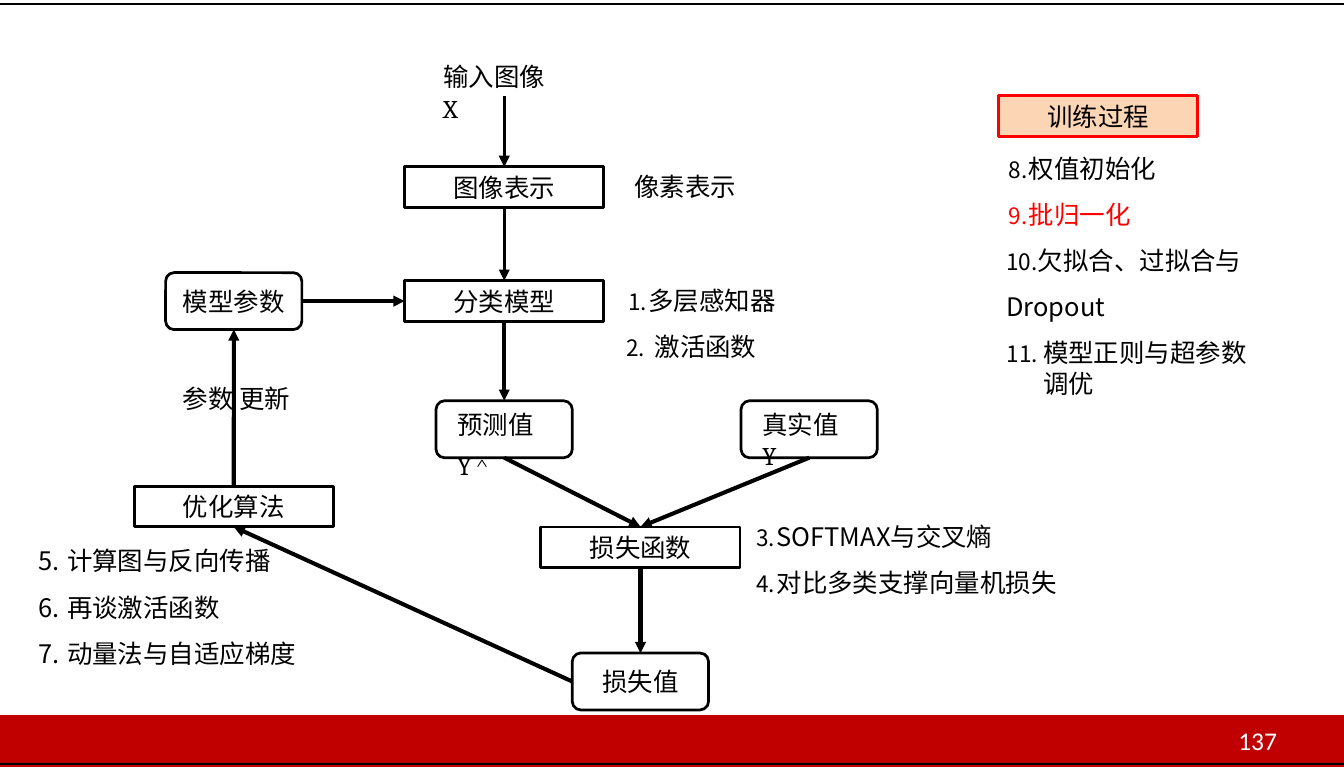
"""Build a one-slide flow chart of how an image classifier is trained."""
from lxml import etree
from pptx import Presentation, util as u
from pptx.dml import color
from pptx.enum import shapes, text
from pptx.oxml import ns

COLORS = {"ink": "000000", "red": "FF0000", "bar": "C00000", "peach": "FCD5B5", "white": "FFFFFF"}
CJK, SERIF, SANS = "Noto Sans CJK SC", "Cambria", "Calibri"
RECT, ROUND = shapes.MSO_SHAPE.RECTANGLE, shapes.MSO_SHAPE.ROUNDED_RECTANGLE
NODE_SIZES = {RECT: (0.98, 0.2), ROUND: (0.67, 0.28)}
TOP, LEFT, BOTTOM, RIGHT = range(4)
LINE = 10.9
WIDTH, HEIGHT = 6.61, 3.78


def rgb(name):
    return color.RGBColor.from_string(COLORS[name])


def add_xml(parent, tag, **attributes):
    return etree.SubElement(parent, ns.qn(tag), **attributes)


def write(frame, paragraphs, anchor=text.MSO_ANCHOR.TOP, wrap=True, **shared):
    """Fill a frame with paragraphs, each a (runs, format) pair; a run is (text, font format)."""
    frame.word_wrap = wrap
    frame.vertical_anchor = anchor
    frame.margin_left = frame.margin_top = frame.margin_right = frame.margin_bottom = 0
    for index, (runs, own) in enumerate(paragraphs):
        style = {**shared, **own}
        paragraph = frame.paragraphs[0] if index == 0 else frame.add_paragraph()
        paragraph.alignment = style.get("align", text.PP_ALIGN.LEFT)
        paragraph.line_spacing = u.Pt(style.get("line", LINE))
        paragraph.space_before = u.Pt(style.get("before", 0) if index else 0)
        if "start" in style:
            number(paragraph, style)
        for words, font in runs:
            add_run(paragraph, words, **{"ink": style.get("ink", "ink"), **font})


def number(paragraph, style):
    """Turn a paragraph into an automatically numbered item with a hanging indent."""
    margin, hang = style["indent"]
    properties = paragraph._p.get_or_add_pPr()
    properties.set("marL", str(u.Inches(margin)))
    properties.set("indent", str(-u.Inches(hang)))
    add_xml(properties, "a:buSzPct", val=str(style.get("scale", 89) * 1000))
    add_xml(properties, "a:buFont", typeface=CJK)
    add_xml(properties, "a:buAutoNum", type="arabicPeriod", startAt=str(style["start"]))


def add_run(paragraph, words, ink="ink", name=CJK, size=9, spacing=0, baseline=0):
    """Append one run in the given font."""
    run = paragraph.add_run()
    run.text = words
    run.font.size = u.Pt(size)
    run.font.color.rgb = rgb(ink)
    run.font.name = name
    properties = run.font._element
    add_xml(properties, "a:ea", typeface=name)
    if spacing:
        properties.set("spc", str(int(spacing * 100)))
    if baseline:
        properties.set("baseline", str(baseline * 1000))


def plain(words, **style):
    return [(words, {})], style


def symbol(letter, **style):
    return [(letter, {"name": SERIF})], style


def add_label(slide, left, top, width, height, paragraphs, **style):
    box = slide.shapes.add_textbox(*map(u.Inches, (left, top, width, height)))
    write(box.text_frame, paragraphs, **style)


def add_box(slide, kind, left, top, width, height, fill=None, line=None):
    """Draw a preset shape with an optional fill and outline."""
    box = slide.shapes.add_shape(kind, *map(u.Inches, (left, top, width, height)))
    box.shadow.inherit = False
    if fill:
        box.fill.solid()
        box.fill.fore_color.rgb = rgb(fill)
    else:
        box.fill.background()
    if line:
        box.line.color.rgb = rgb(line)
        box.line.width = u.Pt(0.96)
    else:
        box.line.fill.background()
    return box


def add_node(slide, kind, center, paragraphs=(), fill=None, line="ink"):
    """Draw a flow chart node around its center."""
    width, height = NODE_SIZES[kind]
    node = add_box(slide, kind, center[0] - width / 2, center[1] - height / 2,
                   width, height, fill, line)
    if kind == ROUND:
        node.adjustments[0] = 0.15
    write(node.text_frame, paragraphs, anchor=text.MSO_ANCHOR.MIDDLE, align=text.PP_ALIGN.CENTER)
    return node


def add_line(slide, start, end, weight=0.96, ink="ink", arrow=False):
    """Draw a line; an end is a point or a (node, side) pair."""
    points = [(0, 0) if hasattr(at[0], "shape_type") else at for at in (start, end)]
    line = slide.shapes.add_connector(shapes.MSO_CONNECTOR.STRAIGHT,
                                      *(u.Inches(value) for point in points for value in point))
    line.line.color.rgb = rgb(ink)
    line.line.width = u.Pt(weight)
    if arrow:
        add_xml(line.line._get_or_add_ln(), "a:tailEnd", type="triangle", w="sm", len="sm")
    add_xml(line._element.spPr, "a:effectLst")
    for at, connect in ((start, line.begin_connect), (end, line.end_connect)):
        if hasattr(at[0], "shape_type"):
            connect(*at)


def draw_frame(slide, width, height):
    """Draw the top rule and the footer bar with the page number."""
    add_line(slide, (0, height - 0.26), (width, height - 0.26), weight=0.48, ink="bar")
    for rise, thickness, fill in ((0.25, 0.24, "bar"), (0.26, 0.01, "bar"),
                                  (0.02, 0.01, "bar"), (0.03, 0.01, "ink")):
        add_box(slide, RECT, 0, height - rise, width, thickness, fill=fill)
    add_line(slide, (0, 0.02), (width, 0.02))
    add_label(slide, width - 0.52, height - 0.2, 0.22, 0.15,
              [([("137", {"name": SANS})], {})], line=9.6, ink="white")


def draw_flow(slide, left, top):
    """Draw the nodes, arrows and captions of the training loop."""
    def at(x, y):
        return left + x, top + y

    loop_x, model_x, loss_x, truth_x = 0.48, 1.81, 2.48, 3.31
    hat = [("Y", {"name": SERIF}),
           ("＾", {"name": SERIF, "size": 13.5, "spacing": -7.3, "baseline": 9})]
    image = add_node(slide, RECT, at(model_x, 0.63), [plain("图像表示")])
    model = add_node(slide, RECT, at(model_x, 1.19), [plain("分类模型")])
    predicted = add_node(slide, ROUND, at(model_x, 1.82))
    truth = add_node(slide, ROUND, at(truth_x, 1.82))
    loss_function = add_node(slide, RECT, at(loss_x, 2.4), [plain("损失函数")])
    loss = add_node(slide, ROUND, at(loss_x, 3.06), [plain("损失值")])
    optimizer = add_node(slide, RECT, at(loop_x, 2.2), [plain("优化算法")])
    parameters = add_node(slide, ROUND, at(loop_x, 1.19), [plain("模型参数")])

    add_line(slide, at(model_x, 0.18), (image, TOP), arrow=True)
    add_line(slide, (image, BOTTOM), (model, TOP), arrow=True)
    for start, end in (((model, BOTTOM), (predicted, TOP)),
                       ((predicted, BOTTOM), (loss_function, TOP)),
                       ((truth, BOTTOM), (loss_function, TOP)),
                       ((loss_function, BOTTOM), (loss, TOP)),
                       ((loss, LEFT), (optimizer, BOTTOM)),
                       ((optimizer, TOP), (parameters, BOTTOM)),
                       ((parameters, RIGHT), (model, LEFT))):
        add_line(slide, start, end, weight=1.44, arrow=True)

    for x, value, letter in ((model_x, "预测值", (hat, {"line": 15.5})),
                             (truth_x, "真实值", symbol("Y"))):
        add_label(slide, *at(x - 0.23, 1.72), 0.48, 0.35, [plain(value), letter])
    add_label(slide, *at(1.51, 0.01), 0.61, 0.32, [plain("输入图像"), symbol("X", line=11.3)])
    add_label(slide, *at(2.45, 0.55), 0.53, 0.18, [plain("像素表示")], wrap=False)
    add_label(slide, *at(0.23, 1.59), 0.56, 0.18, [plain("参数 更新")], wrap=False)


def draw_topics(slide, left, top, width, topics, **style):
    """List numbered topics from the given corner."""
    add_label(slide, left, top, width, 0.23 * len(topics), topics, before=5.4, **style)


def draw_training(slide, left, top):
    """Draw the highlighted heading and the topics of the training stage."""
    add_node(slide, RECT, (left + 0.48, top + 0.1), [plain("训练过程")], fill="peach", line="red")
    draw_topics(slide, left + 0.02, top + 0.28, 1.3,
                [plain("权值初始化"), plain("批归一化", ink="red"),
                 plain("欠拟合、过拟合与 Dropout", indent=(0.01, 0), line=LINE + 5.4, before=0),
                 plain("模型正则与超参数调优", indent=(0.19, 0.18))],
                start=8, indent=(0.12, 0.1))


def main():
    deck = Presentation()
    deck.slide_width, deck.slide_height = u.Inches(WIDTH), u.Inches(HEIGHT)
    slide = deck.slides.add_slide(deck.slide_layouts[6])
    draw_frame(slide, WIDTH, HEIGHT)
    draw_flow(slide, 0.67, 0.29)
    draw_topics(slide, 3.07, 1.4, 0.9,
                [plain("多层感知器"), plain("激活函数", indent=(0.15, 0.14))],
                start=1, indent=(0.12, 0.1))
    draw_topics(slide, 3.7, 2.56, 1.6, [plain("SOFTMAX与交叉熵"), plain("对比多类支撑向量机损失")],
                start=3, indent=(0.12, 0.1))
    draw_topics(slide, 0.18, 2.68, 1.4,
                [plain("计算图与反向传播"), plain("再谈激活函数"), plain("动量法与自适应梯度")],
                start=5, indent=(0.15, 0.14), scale=100)
    draw_training(slide, 4.92, 0.47)
    deck.save("out.pptx")


if __name__ == "__main__":
    main()
